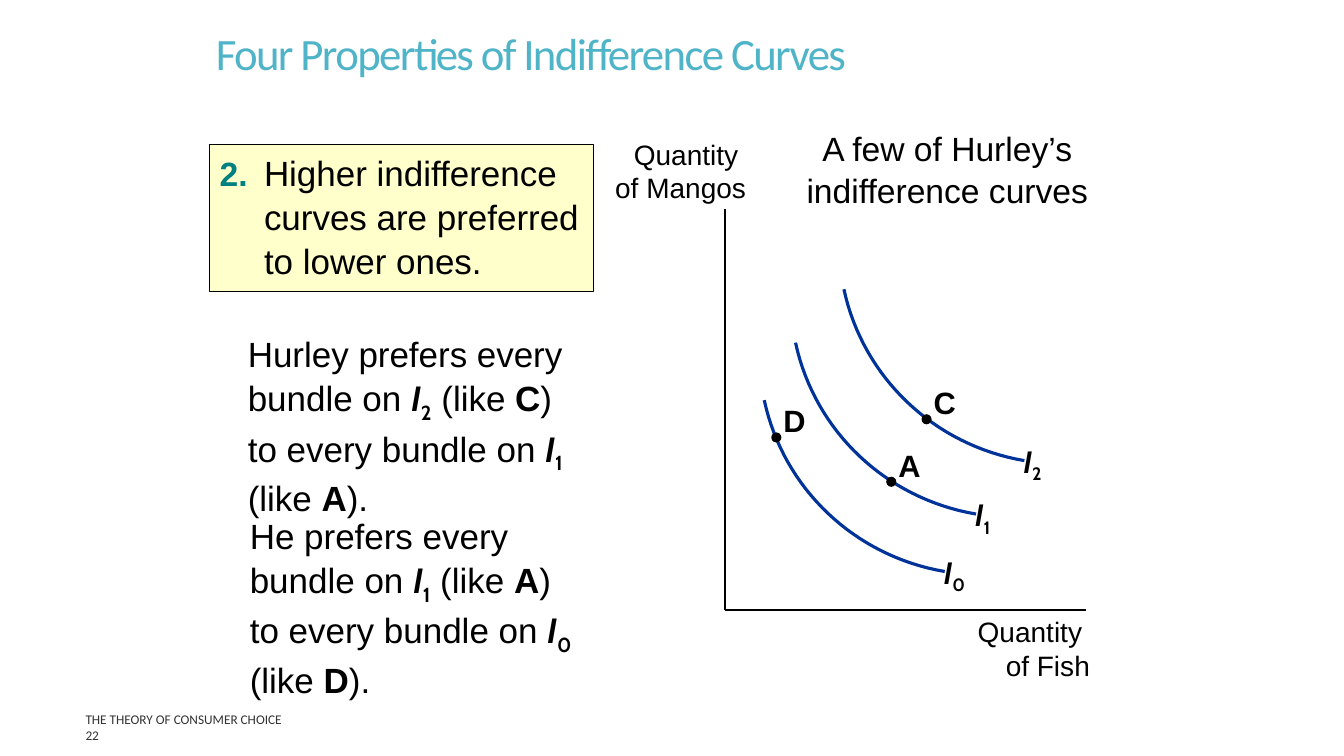
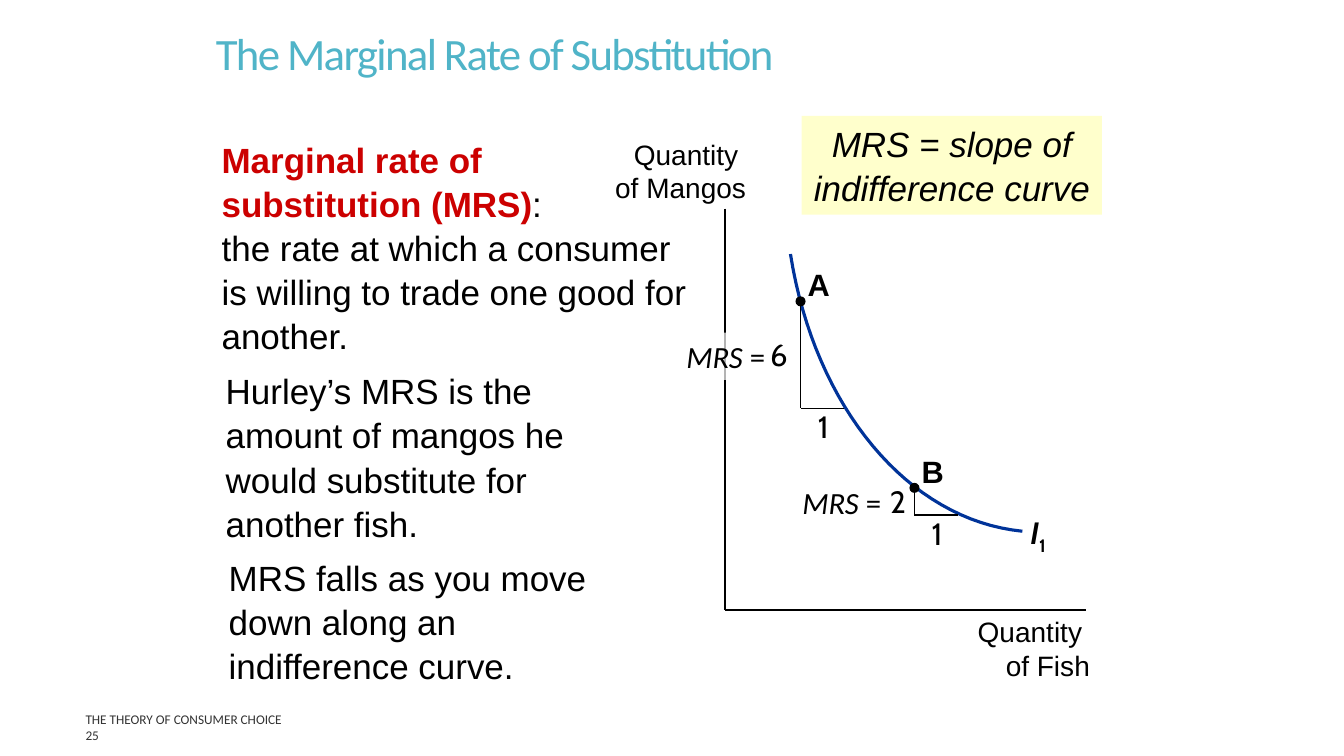
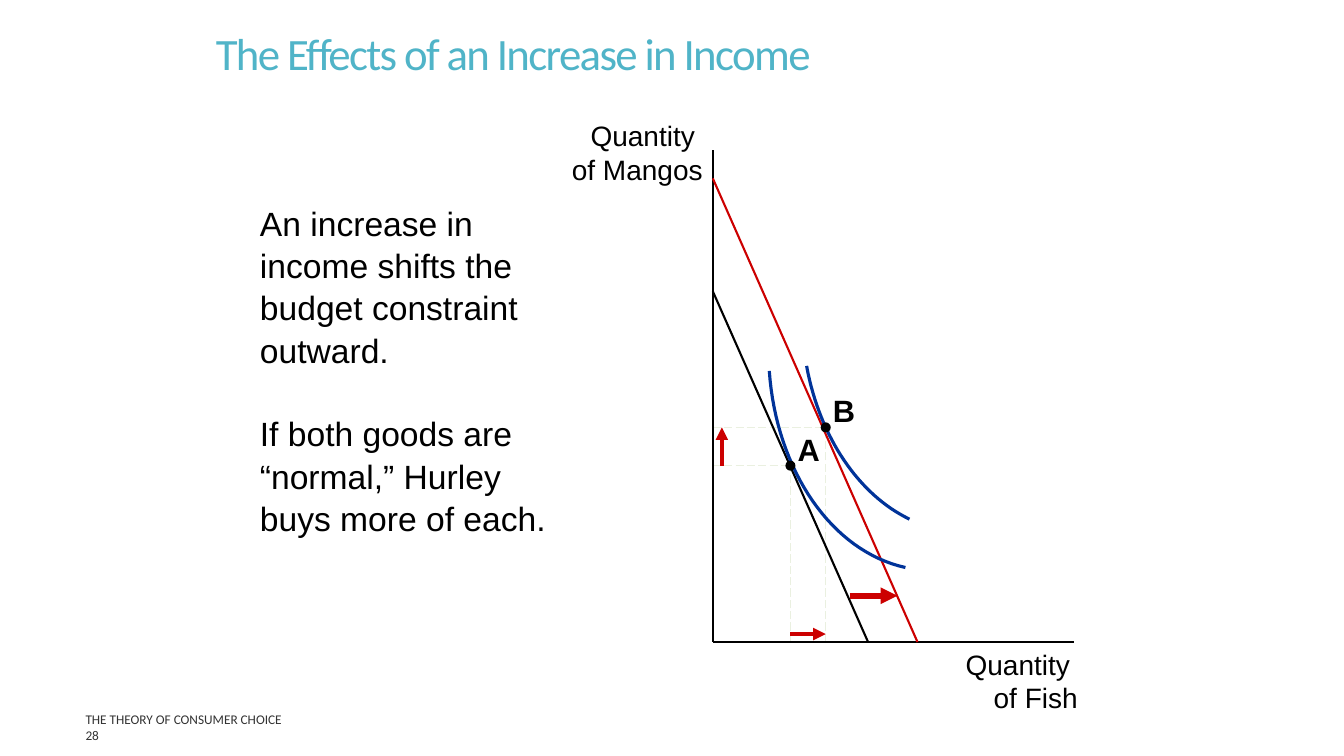
from lxml import etree
from pptx import Presentation
from pptx.dml.color import RGBColor
from pptx.enum.dml import MSO_LINE
from pptx.enum.shapes import MSO_CONNECTOR, MSO_SHAPE
from pptx.enum.text import MSO_ANCHOR, PP_ALIGN
from pptx.oxml.ns import qn
from pptx.util import Inches, Pt

LEFT, CENTER, RIGHT = PP_ALIGN.LEFT, PP_ALIGN.CENTER, PP_ALIGN.RIGHT
TOP, MIDDLE = MSO_ANCHOR.TOP, MSO_ANCHOR.MIDDLE
RECT, OVAL = MSO_SHAPE.RECTANGLE, MSO_SHAPE.OVAL
STRAIGHT, LONG_DASH = MSO_CONNECTOR.STRAIGHT, MSO_LINE.LONG_DASH

COLORS = {
    "title": "50B4C8", "text": "000000", "footer": "333333", "number": "008080",
    "term": "CC0000", "note": "FFFFCC", "white": "FFFFFF",
    "curve": "003399", "guide": "EAF0E0", "shift": "CC0000",
}
FOOTER = "THE THEORY OF CONSUMER CHOICE"
TITLE_AT = (2.04, 0.23, 9.2, 0.66)
NO_INSETS = (0, 0, 0, 0)
STEPS = 32


def bold(text, **style):
    return text, {"bold": True, **style}


def italic(text, **style):
    return text, {"italic": True, **style}


def curve_name(n):
    return [bold("I", italic=True, font="Cabin"), bold(n, font="Cabin", base=-25)]


def preference(start, better, better_point, worse, worse_point):
    return [start + " prefers every bundle on ", *curve_name(better), " (like ",
            bold(better_point), ") \nto every bundle on ", *curve_name(worse),
            " (like ", bold(worse_point), ")."]


# Slide 1
PROPERTY = [bold("2.\t", size=24, color="number"),
            "Higher indifference curves are preferred to lower ones."]
PREFERENCES = [
    ((2.36, 3.23, 3.74, 1.85), preference("Hurley", "2", "C", "1", "A")),
    ((2.38, 5.03, 3.74, 1.85), preference("He", "1", "A", "0", "D")),
]
CURVE_STARTS = [("2", 8.37, 2.87), ("1", 7.89, 3.4), ("0", 7.58, 3.97)]
CURVE_OFFSETS = [(0, 0), (0.19, 0.88), (0.9, 1.55), (1.79, 1.7)]
BUNDLES = [("C", (9.19, 4.16)), ("D", (7.7, 4.34)), ("A", (8.84, 4.78))]

# Slide 2
MRS_TEXTS = [
    ((2.1, 1.3, 5.2, 2.29),
     [bold("Marginal rate of \nsubstitution (MRS)", color="term"),
      ":\nthe rate at which a consumer \nis willing to trade one good for another."]),
    ((2.14, 3.6, 3.72, 1.85),
     ["Hurley’s MRS is the amount of mangos he would substitute for another fish."]),
    ((2.17, 5.45, 4.3, 1.41),
     ["MRS falls as you move down along an indifference curve."]),
]
MRS_CURVE = [(7.84, 2.52), (8.08, 4.04), (9.01, 5.16), (10.14, 5.27)]
# name, bundle, height of the step, slope, place of the slope, place of "MRS ="
MRS_STEPS = [
    ("A", (7.94, 2.99), 1.06, "6", (7.58, 3.34), (6.56, 3.3)),
    ("B", (9.07, 4.84), 0.27, "2", (8.76, 4.8), (7.71, 4.75)),
]
STEP_RUN = 0.43

# Slide 3
INCOME_TEXTS = [
    ((2.48, 1.94, 3.08, 1.78),
     ["An increase in income shifts the budget constraint outward."]),
    ((2.48, 4.03, 3.1, 1.36),
     ["If both goods are “normal,” Hurley buys more of each."]),
]
INCOME_ORIGIN = (7.07, 6.37)
OPTIMA = {"A": (7.84, 4.62), "B": (8.19, 4.24)}
BUDGETS = [("text", 2.89, 8.61), ("shift", 1.77, 9.1)]
INCOME_CURVES = [
    [(7.63, 3.68), (7.7, 4.67), (8.25, 5.47), (8.98, 5.63)],
    [(8, 3.63), (8.13, 4.34), (8.52, 4.91), (9.02, 5.15)],
]


def rgb(name):
    return RGBColor.from_string(COLORS[name])


def add_runs(p, runs, size, color="text", font="Arial"):
    """Fill a paragraph from strings or (text, style) pairs; a newline breaks the line."""
    for item in runs:
        text, style = (item, {}) if isinstance(item, str) else item
        for i, line in enumerate(text.split("\n")):
            if i:
                p.add_line_break()
            r = p.add_run()
            r.text = line
            r.font.name = style.get("font", font)
            r.font.size = Pt(style.get("size", size))
            r.font.bold = style.get("bold", False)
            r.font.italic = style.get("italic", False)
            r.font.color.rgb = rgb(style.get("color", color))
            for attr, key, unit in (("baseline", "base", 1000), ("spc", "spacing", 100)):
                if key in style:
                    r._r.get_or_add_rPr().set(attr, str(round(style[key] * unit)))


def add_text(s, at, runs, size=25, align=LEFT, spacing=1.0, insets=(0.1, 0.05, 0.1, 0.05),
             anchor=TOP, fill=None, opacity=100, line=None, hang=0, **style):
    box = [Inches(v) for v in at]
    if fill:
        sp = s.shapes.add_shape(RECT, *box)
        sp.shadow.inherit = False
        sp.fill.solid()
        sp.fill.fore_color.rgb = rgb(fill)
        if opacity < 100:
            clr = sp._element.spPr.find(qn("a:solidFill"))[0]
            etree.SubElement(clr, qn("a:alpha")).set("val", str(opacity * 1000))
        if line:
            sp.line.color.rgb = rgb(line)
            sp.line.width = Pt(0.75)
        else:
            sp.line.fill.background()
    else:
        sp = s.shapes.add_textbox(*box)
    tf = sp.text_frame
    tf.word_wrap = True
    tf.vertical_anchor = anchor
    tf.margin_left, tf.margin_top, tf.margin_right, tf.margin_bottom = map(Inches, insets)
    p = tf.paragraphs[0]
    p.alignment = align
    p.line_spacing = spacing
    if hang:
        pPr = p._p.get_or_add_pPr()
        pPr.set("marL", str(Inches(hang)))
        pPr.set("indent", str(-Inches(hang)))
    add_runs(p, runs, size, **style)


def add_line(s, start, end, color="text", width=1, dash=None, arrow=False):
    c = s.shapes.add_connector(STRAIGHT, *(Inches(v) for v in (*start, *end)))
    c.line.color.rgb = rgb(color)
    c.line.width = Pt(width)
    if dash:
        c.line.dash_style = dash
    if arrow:
        etree.SubElement(c.line._get_or_add_ln(), qn("a:tailEnd")).set("type", "triangle")
    etree.SubElement(c._element.spPr, qn("a:effectLst"))


def add_curve(s, controls):
    """Draw a cubic Bezier curve through its four control points."""
    points = []
    for i in range(STEPS + 1):
        t = i / STEPS
        weights = ((1 - t) ** 3, 3 * t * (1 - t) ** 2, 3 * t * t * (1 - t), t ** 3)
        points.append(tuple(Inches(sum(w * c[axis] for w, c in zip(weights, controls)))
                            for axis in (0, 1)))
    builder = s.shapes.build_freeform(*points[0])
    builder.add_line_segments(points[1:], close=False)
    sp = builder.convert_to_shape()
    sp.shadow.inherit = False
    sp.fill.background()
    sp.line.color.rgb = rgb("curve")
    sp.line.width = Pt(2.25)


def add_curve_label(s, n, x, y):
    add_text(s, (x, y, 0.36, 0.47), curve_name(n), size=22, insets=NO_INSETS)


def add_bundle(s, name, center):
    x, y = center
    dot = s.shapes.add_shape(OVAL, *(Inches(v) for v in (x - 0.05, y - 0.05, 0.1, 0.1)))
    dot.shadow.inherit = False
    dot.fill.solid()
    dot.fill.fore_color.rgb = rgb("text")
    dot.line.fill.background()
    add_text(s, (x + 0.07, y - 0.35, 0.32, 0.37), [bold(name)], size=22, insets=NO_INSETS)


def add_axes(s, origin=(7.19, 6.05), top=2.07, mangos_at=(5.88, 1.36)):
    x, y = origin
    right = x + 3.58
    add_line(s, (x, top), origin)
    add_line(s, origin, (right, y))
    for good, at, width in (("Fish", (right - 1.18, y + 0.05), 1.22),
                            ("Mangos", mangos_at, 1.52)):
        add_text(s, (*at, width, 0.67), [f"Quantity \nof {good}"], size=20,
                 align=RIGHT, insets=NO_INSETS)


def add_slide(prs, title, number):
    s = prs.slides.add_slide(prs.slide_layouts[5])
    sp = s.shapes.title
    sp.left, sp.top, sp.width, sp.height = map(Inches, TITLE_AT)
    sp.text_frame.vertical_anchor = MIDDLE
    p = sp.text_frame.paragraphs[0]
    p.alignment = LEFT
    p.line_spacing = 0.85
    add_runs(p, [(title, {"spacing": -1.2})], 32, "title", "Calibri")
    for text, y, width in ((FOOTER, 7.01, 4.5), (str(number), 7.17, 5.5)):
        add_text(s, (0.75, y, width, 0.25), [text], size=9.5, anchor=MIDDLE,
                 color="footer", font="Calibri")
    return s


def properties_slide(prs):
    s = add_slide(prs, "Four Properties of Indifference Curves", 22)
    add_axes(s)
    add_text(s, (7.85, 1.2, 3.09, 0.94), ["A few of Hurley’s indifference curves"],
             size=24, align=CENTER, spacing=1.05)
    add_text(s, (2.08, 1.43, 3.81, 1.46), PROPERTY, spacing=1.05, fill="note",
             line="text", hang=0.44)
    for at, runs in PREFERENCES:
        add_text(s, at, runs, spacing=1.05)
    for n, x, y in CURVE_STARTS:
        controls = [(x + dx, y + dy) for dx, dy in CURVE_OFFSETS]
        add_curve(s, controls)
        end_x, end_y = controls[-1]
        add_curve_label(s, n, end_x - 0.01, end_y - 0.18)
    for name, center in BUNDLES:
        add_bundle(s, name, center)


def mrs_slide(prs):
    s = add_slide(prs, "The Marginal Rate of Substitution", 25)
    add_axes(s)
    add_curve(s, MRS_CURVE)
    add_curve_label(s, "1", 10.22, 5.1)
    for name, (x, y), rise, slope, slope_at, mrs_at in MRS_STEPS:
        corner = (x, y + rise)
        add_line(s, (x + STEP_RUN, y + rise), corner)
        add_line(s, corner, (x, y))
        for digit, at in (("1", (x + 0.08, y + rise + 0.01)), (slope, slope_at)):
            add_text(s, (*at, 0.29, 0.41), [digit], size=22, align=CENTER, spacing=0.9,
                     insets=(0.05, 0.03, 0.05, 0.05), font="Cabin")
        add_bundle(s, name, (x, y))
        add_text(s, (*mrs_at, 1.03, 0.47), [italic("MRS"), " ="], size=22, align=RIGHT,
                 insets=(0, 0.05, 0, 0.05), font="Calibri",
                 fill="white" if name == "A" else None, opacity=70)
    for at, runs in MRS_TEXTS:
        add_text(s, at, runs, spacing=1.05)
    add_text(s, (7.95, 1.15, 2.98, 0.98), [italic("MRS = slope of indifference curve")],
             align=CENTER, spacing=1.05, fill="note")


def income_slide(prs):
    s = add_slide(prs, "The Effects of an Increase in Income", 28)
    x0, y0 = INCOME_ORIGIN
    for x, y in OPTIMA.values():
        for end in ((x0, y), (x, y0)):
            add_line(s, end, (x, y), "guide", 0.75, LONG_DASH)
    add_axes(s, INCOME_ORIGIN, 1.49, (5.45, 1.18))
    for color, mangos, fish in BUDGETS:
        add_line(s, (x0, mangos), (fish, y0), color, 1.5)
    for controls in INCOME_CURVES:
        add_curve(s, controls)
    for name, center in OPTIMA.items():
        add_bundle(s, name, center)
    (ax, ay), (bx, by) = OPTIMA.values()
    for start, end, width in (((7.16, ay), (7.16, by), 3),
                              ((ax, 6.29), (bx, 6.29), 3),
                              ((8.43, 5.91), (8.9, 5.91), 4)):
        add_line(s, start, end, "shift", width, arrow=True)
    for at, runs in INCOME_TEXTS:
        add_text(s, at, runs, size=24, spacing=1.05)


def main():
    prs = Presentation()
    prs.slide_width, prs.slide_height = Inches(13.33), Inches(7.5)
    for build in (properties_slide, mrs_slide, income_slide):
        build(prs)
    prs.save("out.pptx")


if __name__ == "__main__":
    main()
